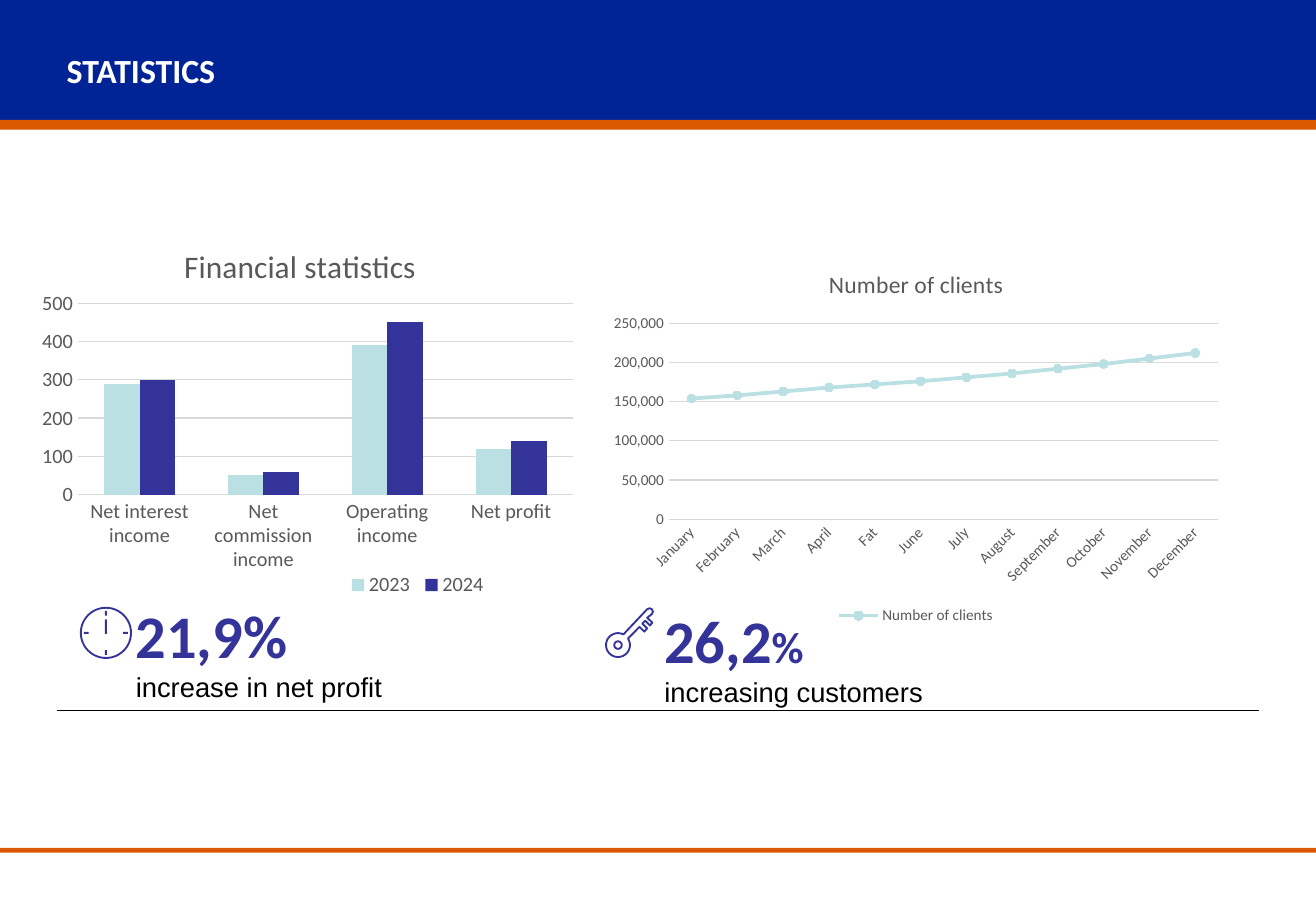
import math
from dataclasses import dataclass

import pptx
import pptx.chart.data
import pptx.dml.color
import pptx.enum.chart
import pptx.enum.shapes
import pptx.enum.text
import pptx.oxml
import pptx.oxml.ns
import pptx.util
from lxml import etree

Cm, Pt = pptx.util.Cm, pptx.util.Pt
RGB = pptx.dml.color.RGBColor.from_string
SHAPE = pptx.enum.shapes.MSO_SHAPE
CHART = pptx.enum.chart.XL_CHART_TYPE
qn = pptx.oxml.ns.qn


@dataclass(frozen=True)
class Theme:
    navy = RGB("002395")
    orange = RGB("DA5800")
    indigo = RGB("333399")
    aqua = RGB("BBE0E3")
    grey = RGB("595959")
    grid = RGB("D9D9D9")
    black = RGB("000000")
    white = RGB("FFFFFF")
    font = "Calibri"
    label_font = "Arial"
    title = Pt(20)
    figure = Pt(35.8)
    percent = Pt(26)
    label = Pt(16.2)
    hairline = Pt(0.75)
    icon_line = Pt(1.1)


@dataclass(frozen=True)
class Box:
    """A rectangle in centimetres."""
    x: float
    y: float
    w: float
    h: float

    def emu(self):
        return [Cm(v) for v in (self.x, self.y, self.w, self.h)]


T = Theme()


def set_font(font, size, color, name=T.font, bold=False):
    font.size, font.name, font.bold = size, name, bold
    font.color.rgb = color


def add_solid(s, kind, box, color):
    sp = s.shapes.add_shape(kind, *box.emu())
    sp.shadow.inherit = False
    sp.fill.solid()
    sp.fill.fore_color.rgb = color
    sp.line.fill.background()
    return sp


def outline(sp):
    sp.shadow.inherit = False
    sp.fill.background()
    sp.line.color.rgb = T.indigo
    sp.line.width = T.icon_line


def add_bands(s, box):
    """Lay the coloured bands behind everything else on the slide."""
    bands = [(0, 2.51, T.navy), (2.51, 0.2, T.orange), (17.73, 0.1, T.orange)]
    for i, (top, height, color) in enumerate(bands):
        sp = add_solid(s, SHAPE.RECTANGLE, Box(box.x, box.y + top, box.w, height), color)
        s.shapes._spTree.insert(2 + i, sp._element)


def add_title(s, box, text):
    sp = s.shapes.title
    sp.left, sp.top, sp.width, sp.height = box.emu()
    tf = sp.text_frame
    tf.text = text
    tf.vertical_anchor = pptx.enum.text.MSO_ANCHOR.MIDDLE
    p = tf.paragraphs[0]
    p.alignment = pptx.enum.text.PP_ALIGN.LEFT
    p.line_spacing = 0.95
    set_font(p.font, T.title, T.white, bold=True)


def add_rule(s, box):
    line = s.shapes.add_connector(
        pptx.enum.shapes.MSO_CONNECTOR.STRAIGHT,
        Cm(box.x), Cm(box.y), Cm(box.x + box.w), Cm(box.y + box.h))
    line.line.color.rgb = T.black
    line.line.width = Pt(1)
    etree.SubElement(line._element.spPr, qn("a:effectLst"))


def add_clock(s, box):
    outline(s.shapes.add_shape(SHAPE.OVAL, *box.emu()))
    cx, cy = box.x + box.w / 2, box.y + box.h / 2
    thin, tick, reach = 0.04, 0.1, 0.41
    marks = [Box(cx - thin / 2, cy - 0.28, thin, 0.3)]
    for side in (-1, 1):
        marks.append(Box(cx - thin / 2, cy + side * reach - tick / 2, thin, tick))
        marks.append(Box(cx + side * reach - tick / 2, cy - thin / 2, tick, thin))
    for mark in marks:
        add_solid(s, SHAPE.ROUNDED_RECTANGLE, mark, T.indigo)


def add_key(s, box):
    cx, cy, bow, hole = 0.3, 0.79, 0.25, 0.08
    angles = [math.radians(a) for a in range(-33, 298, 10)]
    points = [(cx + bow * math.cos(a), cy + bow * math.sin(a)) for a in angles]
    points += [(0.91, 0.04), (0.96, 0.02), (1.01, 0.04), (1.03, 0.09), (1.01, 0.14),
               (0.91, 0.22), (1.02, 0.32), (0.97, 0.38), (0.87, 0.28), (0.81, 0.34),
               (0.91, 0.44), (0.85, 0.51), (0.75, 0.41)]
    points = [(Cm(box.x + x), Cm(box.y + y)) for x, y in points]
    builder = s.shapes.build_freeform(*points[0])
    builder.add_line_segments(points[1:])
    outline(builder.convert_to_shape())
    ring = Box(box.x + cx - hole, box.y + cy - hole, 2 * hole, 2 * hole)
    outline(s.shapes.add_shape(SHAPE.OVAL, *ring.emu()))


def add_figure(s, box, runs, label):
    """Show a large figure, given as (text, size) runs, above its label."""
    tf = s.shapes.add_textbox(*box.emu()).text_frame
    tf.word_wrap = True
    tf.vertical_anchor = pptx.enum.text.MSO_ANCHOR.BOTTOM
    p = tf.paragraphs[0]
    for text, size in runs:
        r = p.add_run()
        r.text = text
        set_font(r.font, size, T.indigo, bold=True)
    p = tf.add_paragraph()
    p.text = label
    set_font(p.font, T.label, T.black, T.label_font)


def set_layout(parent, index, place, inner=False):
    """Fix a chart part at fractions (x, y, w, h) of the chart area."""
    for old in parent.findall(qn("c:layout")):
        parent.remove(old)
    layout = pptx.oxml.parse_xml(f'<c:layout {pptx.oxml.ns.nsdecls("c")}><c:manualLayout/></c:layout>')
    settings = [("layoutTarget", "inner")] if inner else []
    settings += [("xMode", "edge"), ("yMode", "edge"), *zip("xywh", map(str, place))]
    for tag, value in settings:
        etree.SubElement(layout[0], qn(f"c:{tag}")).set("val", value)
    parent.insert(index, layout)


def add_stat_chart(s, box, kind, title, title_size, text_size, cats, series, top, step, plot):
    data = pptx.chart.data.CategoryChartData(number_format="#,##0")
    data.categories = cats
    for name, values in series:
        data.add_series(name, values)
    chart = s.shapes.add_chart(kind, *box.emu(), data).chart
    set_font(chart.font, Pt(10), T.black)
    chart.has_title = True
    chart.chart_title.include_in_layout = False
    tf = chart.chart_title.text_frame
    tf.text = title
    set_font(tf.paragraphs[0].font, title_size, T.grey)
    chart.has_legend = True
    chart.legend.position = pptx.enum.chart.XL_LEGEND_POSITION.BOTTOM
    chart.legend.include_in_layout = False
    set_font(chart.legend.font, text_size, T.grey)
    for axis in (chart.category_axis, chart.value_axis):
        axis.major_tick_mark = axis.minor_tick_mark = pptx.enum.chart.XL_TICK_MARK.NONE
        set_font(axis.tick_labels.font, text_size, T.grey)
    axis.minimum_scale, axis.maximum_scale, axis.major_unit = 0, top, step
    axis.format.line.fill.background()
    for line in (axis.major_gridlines.format.line, chart.category_axis.format.line):
        line.color.rgb = T.grid
        line.width = T.hairline
    chart.plots[0].vary_by_categories = False
    set_layout(chart._chartSpace.chart.plotArea, 0, plot, inner=True)
    return chart


def add_financial_chart(s, box):
    chart = add_stat_chart(
        s, box, CHART.COLUMN_CLUSTERED, "Financial statistics", Pt(18.6), Pt(12),
        ["Net interest income", "Net commission income", "Operating income", "Net profit"],
        [("2023", (290, 50, 390, 120)), ("2024", (300, 60, 450, 140))],
        500, 100, (0.112, 0.203, 0.864, 0.494))
    chart.plots[0].gap_width, chart.plots[0].overlap = 150, 0
    for series, color in zip(chart.plots[0].series, (T.aqua, T.indigo)):
        series.format.fill.solid()
        series.format.fill.fore_color.rgb = color
    set_layout(chart.legend._element, 1, (0.575, 0.89, 0.26, 0.08))


def add_clients_chart(s, box):
    months = "January February March April Fat June July August September October November December"
    thousands = (154, 158, 163, 168, 172, 176, 181, 186, 192, 198, 205, 212)
    name = "Number of clients"
    chart = add_stat_chart(
        s, box, CHART.LINE_MARKERS, name, Pt(14), Pt(9), months.split(),
        [(name, [1000 * n for n in thousands])], 250000, 50000, (0.107, 0.195, 0.873, 0.516))
    series = chart.plots[0].series[0]
    series.smooth = False
    series.format.line.color.rgb = T.aqua
    series.format.line.width = Pt(2.25)
    marker = series.marker
    marker.style, marker.size = pptx.enum.chart.XL_MARKER_STYLE.CIRCLE, 5
    marker.format.fill.solid()
    marker.format.fill.fore_color.rgb = marker.format.line.color.rgb = T.aqua


def main():
    prs = pptx.Presentation()
    prs.slide_width, prs.slide_height = Cm(27.51), Cm(19.05)
    s = prs.slides.add_slide(prs.slide_layouts[5])
    add_bands(s, Box(0, 0, 27.51, 19.05))
    add_title(s, Box(1.14, 0.71, 15.6, 1.6), "STATISTICS")
    add_rule(s, Box(1.19, 14.86, 25.12, 0))
    add_figure(s, Box(2.59, 12.34, 6.02, 2.49), [("21,9%", T.figure)], "increase in net profit")
    add_figure(s, Box(13.64, 12.45, 6.02, 2.49), [("26,2", T.figure), ("%", T.percent)],
               "increasing customers")
    add_clock(s, Box(1.69, 12.71, 1.05, 1.05))
    add_key(s, Box(12.62, 12.7, 1.04, 1.07))
    add_financial_chart(s, Box(0.28, 4.7, 11.99, 8.1))
    add_clients_chart(s, Box(12.57, 5.21, 13.16, 7.95))
    prs.save("out.pptx")


if __name__ == "__main__":
    main()
